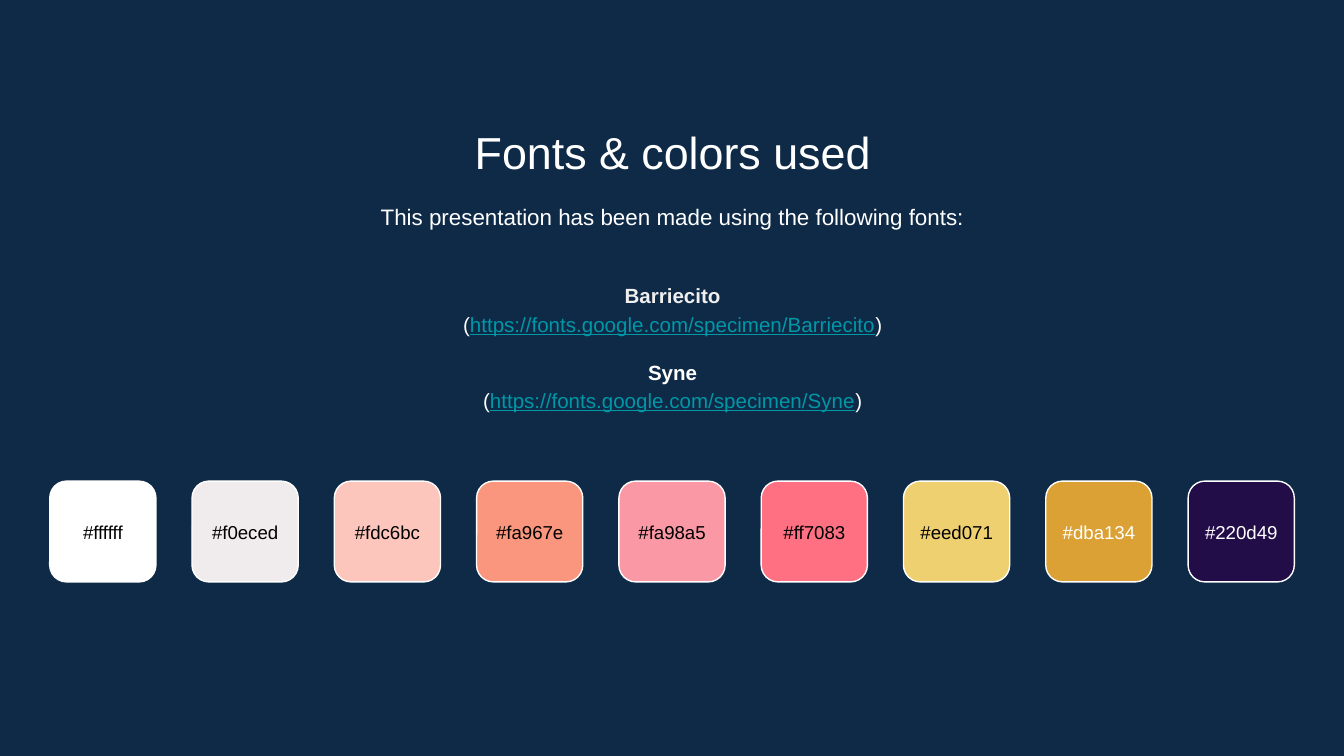
"""Build the slide that lists a presentation's fonts and colours."""
import dataclasses

import lxml.etree
import pptx
import pptx.dml.color
import pptx.enum.shapes
import pptx.enum.text
import pptx.oxml.ns
import pptx.util
from pptx.util import Inches


@dataclasses.dataclass(frozen=True)
class Theme:
    font: str = "Arial"
    background: str = "0E2A47"
    light: str = "FFFFFF"
    soft: str = "EFEFEF"
    dark: str = "000000"
    link: str = "0097A7"
    title_size: int = 24
    intro_size: int = 12
    list_size: int = 11
    label_size: int = 10
    outline: float = 0.75
    line_spacing: float = 1.15
    entry_gap: float = 10.6
    inset: float = 0.1


THEME = Theme()
FONTS = (
    ("Barriecito", "https://fonts.google.com/specimen/Barriecito", THEME.soft),
    ("Syne", "https://fonts.google.com/specimen/Syne", THEME.light),
)
SWATCHES = (
    ("ffffff", THEME.dark),
    ("f0eced", THEME.dark),
    ("fdc6bc", THEME.dark),
    ("fa967e", THEME.dark),
    ("fa98a5", THEME.dark),
    ("ff7083", THEME.dark),
    ("eed071", THEME.dark),
    ("dba134", THEME.light),
    ("220d49", THEME.light),
)
SLIDE_WIDTH = 10
SLIDE_HEIGHT = SLIDE_WIDTH * 9 / 16
MARGIN = 0.37
SWATCH_WIDTH = 0.79
PITCH = (SLIDE_WIDTH - 2 * MARGIN - SWATCH_WIDTH) / (len(SWATCHES) - 1)
TOP = pptx.enum.text.MSO_ANCHOR.TOP
MIDDLE = pptx.enum.text.MSO_ANCHOR.MIDDLE


def rgb(value):
    return pptx.dml.color.RGBColor.from_string(value.upper())


def style_run(run, size, color, bold=False, underline=False):
    run.font.name = THEME.font
    run.font.size = pptx.util.Pt(size)
    run.font.color.rgb = rgb(color)
    run.font.bold = bold
    run.font.underline = underline


def prepare_frame(frame, anchor):
    frame.word_wrap = True
    frame.auto_size = pptx.enum.text.MSO_AUTO_SIZE.NONE
    frame.vertical_anchor = anchor
    frame.margin_left = frame.margin_right = Inches(THEME.inset)
    frame.margin_top = frame.margin_bottom = Inches(THEME.inset)


def center_paragraph(paragraph, spacing=1.0, before=0):
    properties = paragraph._p.get_or_add_pPr()
    properties.set("marL", "0")
    properties.set("indent", "0")
    lxml.etree.SubElement(properties, pptx.oxml.ns.qn("a:buNone"))
    paragraph.alignment = pptx.enum.text.PP_ALIGN.CENTER
    paragraph.line_spacing = spacing
    paragraph.space_before = pptx.util.Pt(before)


def place_placeholder(placeholder, top, height, anchor=TOP):
    placeholder.left, placeholder.top = Inches(1.15), Inches(top)
    placeholder.width, placeholder.height = Inches(7.71), Inches(height)
    prepare_frame(placeholder.text_frame, anchor)
    return placeholder.text_frame


def write_line(frame, text, size, color, spacing=1.0):
    frame.text = text
    center_paragraph(frame.paragraphs[0], spacing)
    style_run(frame.paragraphs[0].runs[0], size, color)


def write_font_list(frame):
    for index, (name, address, name_color) in enumerate(FONTS):
        heading = frame.add_paragraph() if index else frame.paragraphs[0]
        heading.text = name
        center_paragraph(heading, THEME.line_spacing, THEME.entry_gap if index else 0)
        style_run(heading.runs[0], THEME.list_size, name_color, bold=True)

        source = frame.add_paragraph()
        center_paragraph(source, THEME.line_spacing)
        for text in ("(", address, ")"):
            is_link = text == address
            run = source.add_run()
            run.text = text
            color = THEME.link if is_link else THEME.light
            style_run(run, THEME.list_size, color, underline=is_link)


def add_swatch(slide, left, code, label_color):
    swatch = slide.shapes.add_shape(
        pptx.enum.shapes.MSO_SHAPE.ROUNDED_RECTANGLE,
        Inches(left), Inches(3.58), Inches(SWATCH_WIDTH), Inches(0.75))
    swatch.shadow.inherit = False
    swatch.fill.solid()
    swatch.fill.fore_color.rgb = rgb(code)
    swatch.line.color.rgb = rgb(THEME.light)
    swatch.line.width = pptx.util.Pt(THEME.outline)

    label = slide.shapes.add_textbox(
        Inches(left), Inches(3.74), Inches(SWATCH_WIDTH), Inches(0.44))
    prepare_frame(label.text_frame, MIDDLE)
    write_line(label.text_frame, f"#{code}", THEME.label_size, label_color)


def main():
    presentation = pptx.Presentation()
    presentation.slide_width = Inches(SLIDE_WIDTH)
    presentation.slide_height = Inches(SLIDE_HEIGHT)
    slide = presentation.slides.add_slide(
        presentation.slide_layouts.get_by_name("Two Content"))
    slide.background.fill.solid()
    slide.background.fill.fore_color.rgb = rgb(THEME.background)

    title, intro, font_list = slide.placeholders
    write_line(place_placeholder(title, 0.83, 0.53), "Fonts & colors used",
               THEME.title_size, THEME.light)
    write_line(place_placeholder(intro, 1.38, 0.48),
               "This presentation has been made using the following fonts:",
               THEME.intro_size, THEME.light, THEME.line_spacing)
    write_font_list(place_placeholder(font_list, 1.89, 1.37, MIDDLE))

    for index, (code, label_color) in enumerate(SWATCHES):
        add_swatch(slide, MARGIN + index * PITCH, code, label_color)
    presentation.save("out.pptx")


if __name__ == "__main__":
    main()
